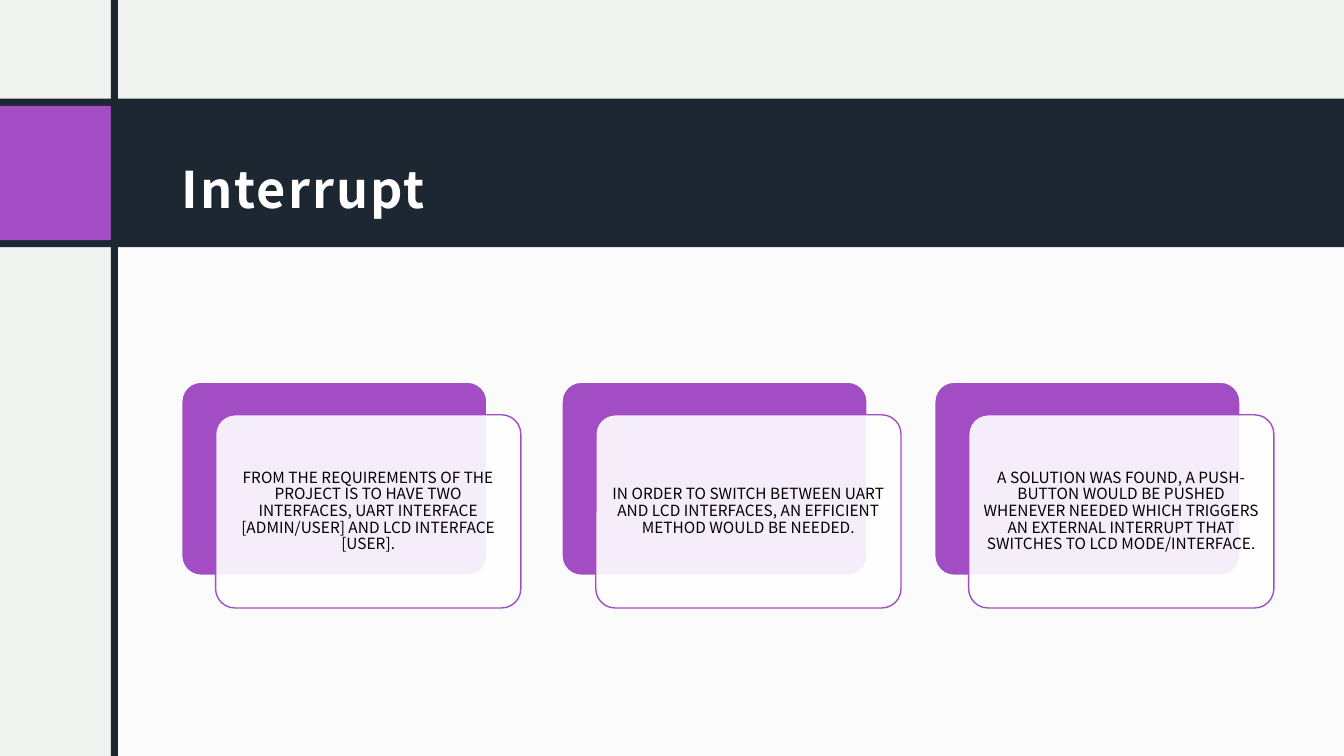
from lxml.etree import SubElement
from pptx import Presentation
from pptx.dml.color import RGBColor
from pptx.enum.shapes import MSO_SHAPE
from pptx.enum.text import MSO_ANCHOR, PP_ALIGN
from pptx.oxml.ns import qn
from pptx.util import Pt

PAPER = RGBColor(0xF1, 0xF3, 0xF0)
WHITE = RGBColor(0xFF, 0xFF, 0xFF)
NAVY = RGBColor(0x1C, 0x27, 0x32)
PURPLE = RGBColor(0xA2, 0x4D, 0xC3)
BLACK = RGBColor(0, 0, 0)
FONT = "Noto Sans CJK JP"

SLIDE_WIDTH, SLIDE_HEIGHT = 960, 540
CARD_WIDTH, CARD_HEIGHT = 218, 138
CARD_TOP = 273
CARD_SHIFT_X, CARD_SHIFT_Y = 24.2, 23.3
CARDS = [
    (129.8, "FROM THE REQUIREMENTS OF THE PROJECT IS TO HAVE TWO INTERFACES, "
            "UART INTERFACE [ADMIN/USER] AND LCD INTERFACE [USER]."),
    (401.4, "IN ORDER TO SWITCH BETWEEN UART AND LCD INTERFACES, "
            "AN EFFICIENT METHOD WOULD BE NEEDED."),
    (667.7, "A SOLUTION WAS FOUND, A PUSH-BUTTON WOULD BE PUSHED WHENEVER NEEDED "
            "WHICH TRIGGERS AN EXTERNAL INTERRUPT THAT SWITCHES TO LCD MODE/INTERFACE."),
]


def write_text(shape, text, size, color, bold=False, align=PP_ALIGN.LEFT,
               line_spacing=1.0, space_after=0, tracking=0, insets=(0, 0, 0, 0)):
    """Fill a shape with one formatted, vertically centred paragraph."""
    frame = shape.text_frame
    frame.word_wrap = True
    frame.vertical_anchor = MSO_ANCHOR.MIDDLE
    (frame.margin_left, frame.margin_top,
     frame.margin_right, frame.margin_bottom) = map(Pt, insets)
    paragraph = frame.paragraphs[0]
    paragraph.alignment = align
    paragraph.line_spacing = line_spacing
    paragraph.space_after = Pt(space_after)
    run = paragraph.add_run()
    run.text = text
    run.font.name = FONT
    run.font.size = Pt(size)
    run.font.bold = bold
    run.font.color.rgb = color
    properties = run.font._element
    SubElement(properties, qn("a:ea")).set("typeface", FONT)
    if tracking:
        properties.set("spc", str(round(tracking * 100)))


class SlideBuilder:
    """Draw the elements of one slide in a shared style."""

    def __init__(self, presentation):
        self.slide = presentation.slides.add_slide(presentation.slide_layouts[6])
        self.slide.background.fill.solid()
        self.slide.background.fill.fore_color.rgb = PAPER

    def block(self, left, top, width, height, color, line=None, opacity=100,
              kind=MSO_SHAPE.RECTANGLE):
        shape = self.slide.shapes.add_shape(
            kind, Pt(left), Pt(top), Pt(width), Pt(height))
        shape.shadow.inherit = False
        shape.fill.solid()
        shape.fill.fore_color.rgb = color
        if opacity < 100:
            color_element = shape._element.spPr.find(qn("a:solidFill"))[0]
            SubElement(color_element, qn("a:alpha")).set("val", str(opacity * 1000))
        if line is None:
            shape.line.fill.background()
        else:
            shape.line.color.rgb = line
            shape.line.width = Pt(1)
        return shape

    def rounded(self, left, top, color, line, opacity=100):
        shape = self.block(left, top, CARD_WIDTH, CARD_HEIGHT, color, line, opacity,
                           MSO_SHAPE.ROUNDED_RECTANGLE)
        shape.adjustments[0] = 0.1
        return shape

    def card(self, left, text):
        self.rounded(left, CARD_TOP, PURPLE, WHITE)
        front = self.rounded(left + CARD_SHIFT_X, CARD_TOP + CARD_SHIFT_Y,
                             WHITE, PURPLE, opacity=90)
        write_text(front, text, 11, BLACK, align=PP_ALIGN.CENTER, line_spacing=0.9,
                   space_after=4, insets=(3.8, 3.8, 3.8, 3.8))

    def title(self, text):
        box = self.slide.shapes.add_textbox(Pt(121), Pt(82), Pt(788), Pt(81.4))
        write_text(box, text, 36, WHITE, bold=True, line_spacing=1.5,
                   space_after=6, tracking=1.5, insets=(8.64, 8.64, 8.64, 7.2))


def main():
    """Build and save the slide."""
    presentation = Presentation()
    presentation.slide_width = Pt(SLIDE_WIDTH)
    presentation.slide_height = Pt(SLIDE_HEIGHT)
    builder = SlideBuilder(presentation)
    builder.block(82, 168, SLIDE_WIDTH - 82, SLIDE_HEIGHT - 168, WHITE, opacity=75)
    builder.block(0, 70.5, SLIDE_WIDTH, 106, NAVY)
    builder.title("Interrupt")
    builder.block(0, 75.6, 79.4, 96, PURPLE)
    builder.block(79.3, 0, 5, SLIDE_HEIGHT, NAVY)
    for left, text in CARDS:
        builder.card(left, text)
    presentation.save("out.pptx")


if __name__ == "__main__":
    main()
